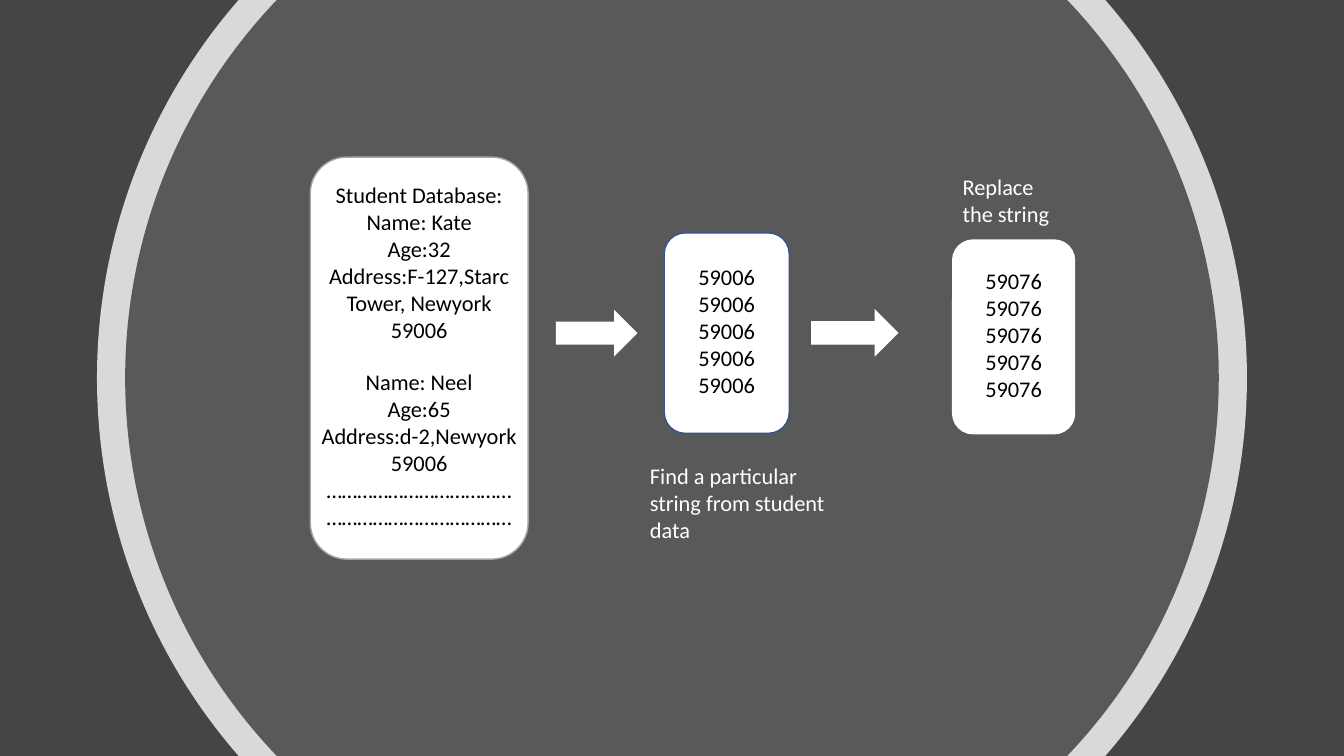
from math import asin, cos, pi, sin, tan

from lxml.etree import SubElement
from pptx import Presentation
from pptx.dml.color import RGBColor
from pptx.enum.shapes import MSO_SHAPE as Preset
from pptx.enum.text import MSO_ANCHOR as Anchor, PP_ALIGN as Align
from pptx.oxml.ns import qn
from pptx.util import Cm, Pt

BACKDROP = RGBColor(0x45, 0x45, 0x45)
DISC = RGBColor(0x59, 0x59, 0x59)
WHITE = RGBColor(0xFF, 0xFF, 0xFF)
BLACK = RGBColor(0, 0, 0)
SILVER = RGBColor(0xA5, 0xA5, 0xA5)
NAVY = RGBColor(0x32, 0x54, 0x91)

WIDTH, HEIGHT = 33.87, 19.05
DOTS = "………………………………"

CIRCLES = [(14.49, WHITE, 80), (13.78, DISC, 100)]
RECORDS = [
    ["Student Database:", "Name: Kate", "Age:32", "Address:F-127,Starc",
     "Tower, Newyork", "59006"],
    ["Name: Neel", "Age:65", "Address:d-2,Newyork", "59006", DOTS, DOTS],
]
STAGES = [
    ((7.82, 3.96, 5.49, 10.13), SILVER, RECORDS),
    ((16.74, 5.87, 3.15, 5.05), NAVY, [["59006"] * 5]),
    ((24.01, 6.05, 3.07, 4.88), WHITE, [["59076"] * 5]),
]
ARROWS = [(14.03, 7.85, 2.01, 1.09), (20.46, 7.83, 2.16, 1.12)]
CAPTIONS = [
    ((16.13, 11.53, 5.08, 2.31), "Find a particular string from student data"),
    ((24.01, 4.24, 3.07, 1.63), "Replace the string"),
]
FONT = {"name": "Calibri", "size": Pt(16)}
STAGE_FRAME = {"word_wrap": False, "vertical_anchor": Anchor.MIDDLE,
               "margin_bottom": Cm(0.25)}
CAPTION_FRAME = {"word_wrap": True, "vertical_anchor": Anchor.TOP}
RECORD_GAP = Pt(18.5)


def apply(target, formats):
    """Set every attribute in formats on target."""
    for attribute, value in formats.items():
        setattr(target, attribute, value)


def write(paragraph, words, color):
    """Put words in a paragraph with the slide's font."""
    run = paragraph.add_run()
    run.text = words
    apply(run.font, FONT)
    run.font.color.rgb = color


def paint(shape, fill, line=None):
    """Give a shape a flat fill and a thin sharp-cornered line or none."""
    shape.shadow.inherit = False
    shape.fill.solid()
    shape.fill.fore_color.rgb = fill
    if line is None:
        shape.line.fill.background()
    else:
        shape.line.color.rgb = line
        shape.line.width = Pt(1)
        outline = shape._element.spPr.find(qn("a:ln"))
        SubElement(outline, qn("a:miter"), lim="800000")


def add_preset(slide, preset, place, line):
    """Add a white preset shape at a place in centimetres."""
    shape = slide.shapes.add_shape(preset, *map(Cm, place))
    paint(shape, WHITE, line)
    return shape


def rim_point(radius, angle, pull=0):
    """Return a point of a centred circle, moved along its tangent by pull."""
    return (Cm(WIDTH / 2 + radius * cos(angle) - pull * sin(angle)),
            Cm(HEIGHT / 2 + radius * sin(angle) + pull * cos(angle)))


def add_circle(slide, radius, color, opacity):
    """Add a centred circle cut off at the slide's top and bottom."""
    reach = asin(HEIGHT / 2 / radius)
    angles = [middle + turn for middle in (0, pi)
              for turn in (-reach, 0, reach)]
    points = [rim_point(radius, angle) for angle in angles]
    outline = slide.shapes.build_freeform(*points[0])
    outline.add_line_segments(points[1:], close=True)
    circle = outline.convert_to_shape()
    paint(circle, color)

    pull = 4 / 3 * tan(reach / 4) * radius
    sides = list(circle._element.iter(qn("a:lnTo")))
    for side, start, end in zip(sides, angles, angles[1:]):
        if end - start > reach + 0.01 or start == reach:
            continue
        side.tag = qn("a:cubicBezTo")
        handles = [rim_point(radius, start, pull), rim_point(radius, end, -pull)]
        for position, (x, y) in enumerate(handles):
            handle = SubElement(side, qn("a:pt"), x=str(x - circle.left),
                                y=str(y - circle.top))
            side.insert(position, handle)
    if opacity < 100:
        tint = circle._element.spPr.find(qn("a:solidFill"))[0]
        SubElement(tint, qn("a:alpha"), val=str(opacity * 1000))


def add_stage(slide, place, line, records):
    """Add a rounded box holding its records line by line."""
    box = add_preset(slide, Preset.FLOWCHART_ALTERNATE_PROCESS, place, line)
    frame = box.text_frame
    apply(frame, STAGE_FRAME)
    for group, record in enumerate(records):
        for row, words in enumerate(record):
            first = group == row == 0
            paragraph = frame.paragraphs[0] if first else frame.add_paragraph()
            paragraph.alignment = Align.CENTER
            if group and row == 0:
                paragraph.space_before = RECORD_GAP
            write(paragraph, words, BLACK)


def main():
    """Build the find-and-replace slide."""
    deck = Presentation()
    apply(deck, {"slide_width": Cm(WIDTH), "slide_height": Cm(HEIGHT)})
    slide = deck.slides.add_slide(deck.slide_layouts[6])
    slide.background.fill.solid()
    slide.background.fill.fore_color.rgb = BACKDROP

    for circle in CIRCLES:
        add_circle(slide, *circle)
    for stage in STAGES:
        add_stage(slide, *stage)
    for place in ARROWS:
        add_preset(slide, Preset.RIGHT_ARROW, place, WHITE)
    for place, words in CAPTIONS:
        frame = slide.shapes.add_textbox(*map(Cm, place)).text_frame
        apply(frame, CAPTION_FRAME)
        write(frame.paragraphs[0], words, WHITE)

    deck.save("out.pptx")


if __name__ == "__main__":
    main()
